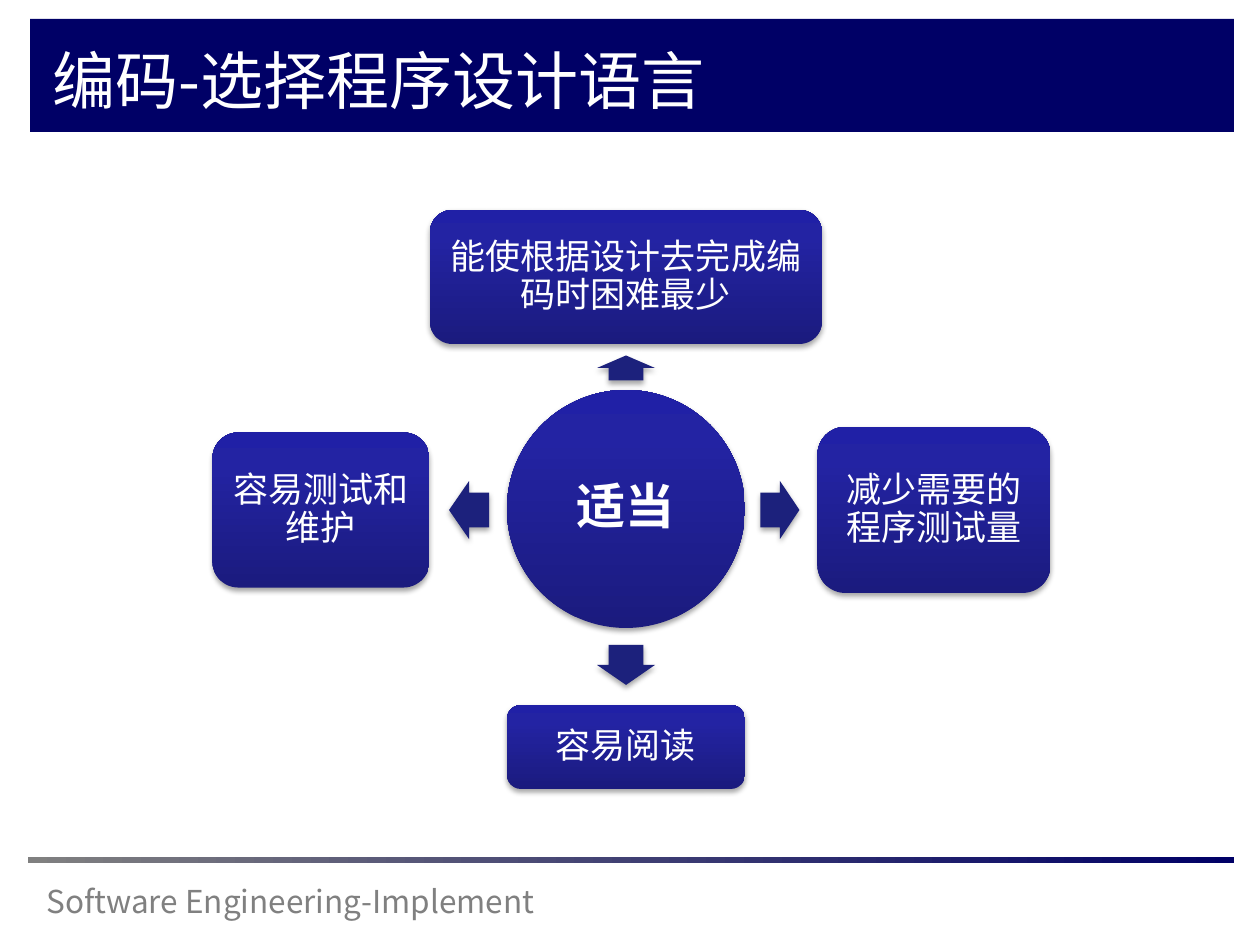
from dataclasses import dataclass

from lxml.etree import SubElement
from pptx import Presentation
from pptx.dml.color import RGBColor
from pptx.enum.shapes import MSO_SHAPE as SHAPE
from pptx.enum.text import MSO_ANCHOR as ANCHOR, MSO_AUTO_SIZE as AUTO, PP_ALIGN as ALIGN
from pptx.oxml.ns import qn
from pptx.util import Emu, Pt

PX = 914400 / 126


def px(n):
    return Emu(round(n * PX))


@dataclass(frozen=True)
class Theme:
    font: str = "Noto Sans CJK SC"
    navy: str = "000066"
    gray: str = "808080"
    white: str = "FFFFFF"
    arrow: str = "1C217C"
    node: tuple = ((0, "1B1B7E"), (80, "2323A3"), (100, "2020A6"))
    rule: tuple = ((0, "808080"), (100, "000066"))
    title_size: int = 36
    hub_size: int = 28
    node_size: int = 20
    footer_size: int = 18


class Builder:
    def __init__(self, slide, theme):
        self.s, self.t = slide, theme

    def set_text(self, sp, text, size, color, align=ALIGN.LEFT, bold=False, margin=None):
        tf = sp.text_frame
        tf.word_wrap, tf.auto_size = True, AUTO.NONE
        tf.vertical_anchor = ANCHOR.MIDDLE
        if margin is not None:
            tf.margin_left = tf.margin_right = px(margin)
            tf.margin_top = tf.margin_bottom = px(margin)
        p = tf.paragraphs[0]
        p.text, p.alignment = text, align
        for r in p.runs:
            f = r.font
            f.name, f.size, f.bold = self.t.font, Pt(size), bold
            f.color.rgb = RGBColor.from_string(color)
            SubElement(r._r.rPr, qn("a:ea"), typeface=self.t.font)
        return p

    def shape(self, kind, box, fill, angle=0, shadow=False):
        """Draw an unlined shape; fill is a colour or a tuple of gradient stops."""
        sp = self.s.shapes.add_shape(kind, *map(px, box))
        if isinstance(fill, str):
            sp.fill.solid()
            sp.fill.fore_color.rgb = RGBColor.from_string(fill)
        else:
            sp.fill.gradient()
            sp.fill.gradient_angle = angle
            stops = sp._element.spPr.find(".//" + qn("a:gsLst"))
            for old in list(stops):
                stops.remove(old)
            for pos, color in fill:
                gs = SubElement(stops, qn("a:gs"), pos=str(pos * 1000))
                SubElement(gs, qn("a:srgbClr"), val=color)
        sp.line.fill.background()
        sp.shadow.inherit = False
        if shadow:
            effects = sp._element.spPr.find(qn("a:effectLst"))
            outer = SubElement(effects, qn("a:outerShdw"), blurRad=str(int(Pt(3.1))),
                               dist=str(int(Pt(1.8))), dir="5400000", rotWithShape="0")
            black = SubElement(outer, qn("a:srgbClr"), val="000000")
            SubElement(black, qn("a:alpha"), val="35000")
        return sp

    def title(self, text, box):
        sp = self.s.shapes.title
        sp.left, sp.top, sp.width, sp.height = map(px, box)
        self.set_text(sp, text, self.t.title_size, self.t.white)
        # Bring the title in front of its banner
        sp._element.getparent().append(sp._element)

    def footer(self, text, box):
        sp = self.s.shapes.add_textbox(*map(px, box))
        self.set_text(sp, text, self.t.footer_size, self.t.gray)

    def node(self, kind, text, center, size, font_size, bold=False, margin=10):
        (cx, cy), (w, h) = center, size
        box = (cx - w / 2, cy - h / 2, w, h)
        sp = self.shape(kind, box, self.t.node, angle=90, shadow=True)
        p = self.set_text(sp, text, font_size, self.t.white, ALIGN.CENTER, bold, margin)
        p.line_spacing = 0.9

    def arrow(self, center, length, rotation, breadth=58):
        cx, cy = center
        box = (cx - length / 2, cy - breadth / 2, length, breadth)
        sp = self.shape(SHAPE.RIGHT_ARROW, box, self.t.arrow, shadow=True)
        sp.adjustments[0], sp.adjustments[1] = 0.6, 0.5
        sp.rotation = rotation


def main():
    prs = Presentation()
    prs.slide_width, prs.slide_height = px(1260), px(945)
    theme = Theme()
    b = Builder(prs.slides.add_slide(prs.slide_layouts[5]), theme)

    # Banner, title and footer
    b.shape(SHAPE.RECTANGLE, (30, 19, 1204, 113), theme.navy)
    b.title("编码-选择程序设计语言", (40, 33, 1110, 93))
    b.footer("Software Engineering-Implement", (34, 876, 651, 50))
    b.shape(SHAPE.RECTANGLE, (28, 857, 1206, 6), theme.rule)

    # Hub
    hub_x, hub_y = 626, 510
    b.node(SHAPE.OVAL, "适当", (hub_x, hub_y - 1), (238, 238),
           theme.hub_size, bold=True, margin=5)

    # Spokes: text, node offset from hub, node size, arrow offset, length, rotation
    spokes = [
        ("能使根据设计去完成编码时困难最少", (0, -233), (392, 134), (0, -142), 25, 270),
        ("减少需要的程序测试量", (308, 0), (233, 166), (154, 0), 39, 0),
        ("容易阅读", (0, 237), (238, 84), (0, 155), 40, 90),
        ("容易测试和维护", (-305, 0), (217, 155), (-157, 0), 40, 180),
    ]
    for text, (dx, dy), size, (ax, ay), length, rotation in spokes:
        b.arrow((hub_x + ax, hub_y + ay), length, rotation)
        b.node(SHAPE.ROUNDED_RECTANGLE, text, (hub_x + dx, hub_y + dy), size,
               theme.node_size)

    prs.save("out.pptx")


if __name__ == "__main__":
    main()
